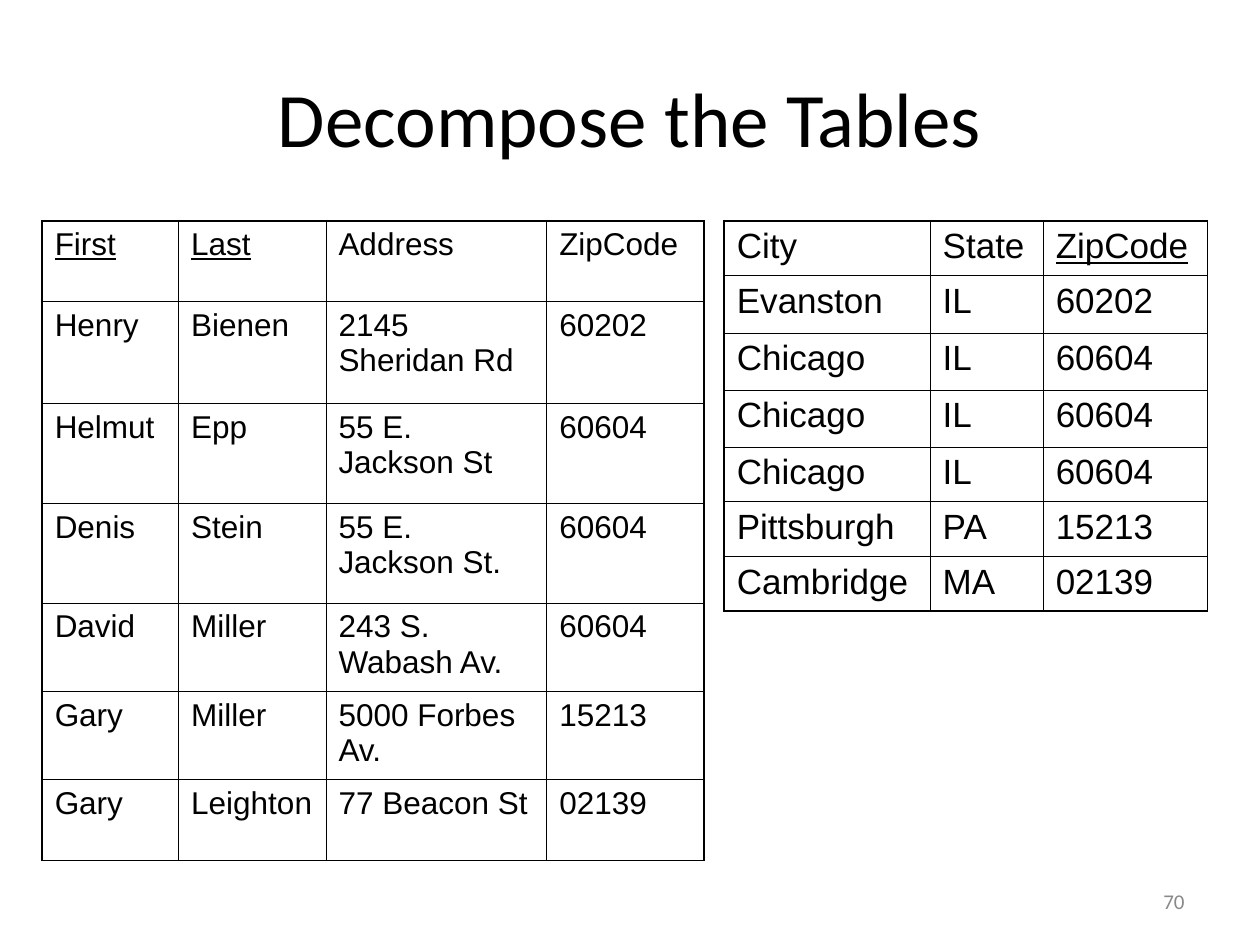
from pptx import Presentation
from pptx.dml.color import RGBColor
from pptx.enum.text import MSO_ANCHOR, PP_ALIGN
from pptx.oxml import parse_xml
from pptx.oxml.ns import nsdecls
from pptx.util import Cm, Pt

MIDDLE = MSO_ANCHOR.MIDDLE
CENTER, RIGHT = PP_ALIGN.CENTER, PP_ALIGN.RIGHT

THEME = {
    "ink": "000000", "gray": "898989",
    "head": "Calibri", "body": "Arial",
    "title": 44, "number": 12,
    "outer": 1.08, "inner": 0.45,
}

TITLE = "Decompose the Tables"
NUMBER = "70"
TOP = 4.45

CITIES = {
    "left": 14.6, "size": 20, "keys": {"ZipCode"},
    "cols": [4.15, 2.28, 3.31],
    "rows": [1.1, 1.16, 1.15, 1.15, 1.1, 1.1, 1.1],
    "data": [
        ("City", "State", "ZipCode"),
        ("Evanston", "IL", "60202"),
        ("Chicago", "IL", "60604"),
        ("Chicago", "IL", "60604"),
        ("Chicago", "IL", "60604"),
        ("Pittsburgh", "PA", "15213"),
        ("Cambridge", "MA", "02139"),
    ],
}
PEOPLE = {
    "left": 0.85, "size": 18, "keys": {"First", "Last"},
    "cols": [2.75, 2.97, 4.45, 3.17],
    "rows": [1.63, 2.06, 2.01, 2.01, 1.78, 1.78, 1.63],
    "data": [
        ("First", "Last", "Address", "ZipCode"),
        ("Henry", "Bienen", "2145 Sheridan Rd", "60202"),
        ("Helmut", "Epp", "55 E. Jackson St", "60604"),
        ("Denis", "Stein", "55 E. Jackson St.", "60604"),
        ("David", "Miller", "243 S. Wabash Av.", "60604"),
        ("Gary", "Miller", "5000 Forbes Av.", "15213"),
        ("Gary", "Leighton", "77 Beacon St", "02139"),
    ],
}


def add_run(para, text, size, font, color="ink", line=False):
    run = para.add_run()
    run.text = text
    run.font.size = Pt(size)
    run.font.name = THEME[font]
    run.font.underline = line
    run.font.color.rgb = RGBColor.from_string(THEME[color])


def add_text(slide, box, text, size, align, color="ink"):
    frame = slide.shapes.add_textbox(*map(Cm, box)).text_frame
    frame.word_wrap = True
    frame.vertical_anchor = MIDDLE
    para = frame.paragraphs[0]
    para.alignment = align
    add_run(para, text, size, "head", color)


def set_edges(cell, edges):
    """Draw each side heavy where it lies on the table's outer edge."""
    props = cell._tc.get_or_add_tcPr()
    for spot, (side, outer) in enumerate(edges.items()):
        width = Pt(THEME["outer" if outer else "inner"])
        props.insert(spot, parse_xml(
            f'<a:ln{side} {nsdecls("a")} w="{width}"><a:solidFill>'
            f'<a:srgbClr val="{THEME["ink"]}"/></a:solidFill></a:ln{side}>'))


def add_grid(slide, spec):
    cols, rows = spec["cols"], spec["rows"]
    table = slide.shapes.add_table(
        len(rows), len(cols), Cm(spec["left"]), Cm(TOP),
        Cm(sum(cols)), Cm(sum(rows))).table
    table.first_row = table.horz_banding = False
    for col, width in zip(table.columns, cols):
        col.width = Cm(width)
    for row, height in zip(table.rows, rows):
        row.height = Cm(height)
    for r, record in enumerate(spec["data"]):
        for c, text in enumerate(record):
            cell = table.cell(r, c)
            cell.fill.background()
            set_edges(cell, {"L": c == 0, "R": c == len(cols) - 1,
                             "T": r == 0, "B": r == len(rows) - 1})
            add_run(cell.text_frame.paragraphs[0], text, spec["size"],
                    "body", line=r == 0 and text in spec["keys"])


def main():
    deck = Presentation()
    deck.slide_width, deck.slide_height = Cm(25.4), Cm(19.05)
    slide = deck.slides.add_slide(deck.slide_layouts[6])
    add_text(slide, (1.27, 0.76, 22.86, 3.18), TITLE, THEME["title"], CENTER)
    add_grid(slide, CITIES)
    add_grid(slide, PEOPLE)
    add_text(slide, (18.2, 17.65, 5.93, 1.02), NUMBER, THEME["number"],
             RIGHT, "gray")
    deck.save("out.pptx")


if __name__ == "__main__":
    main()
